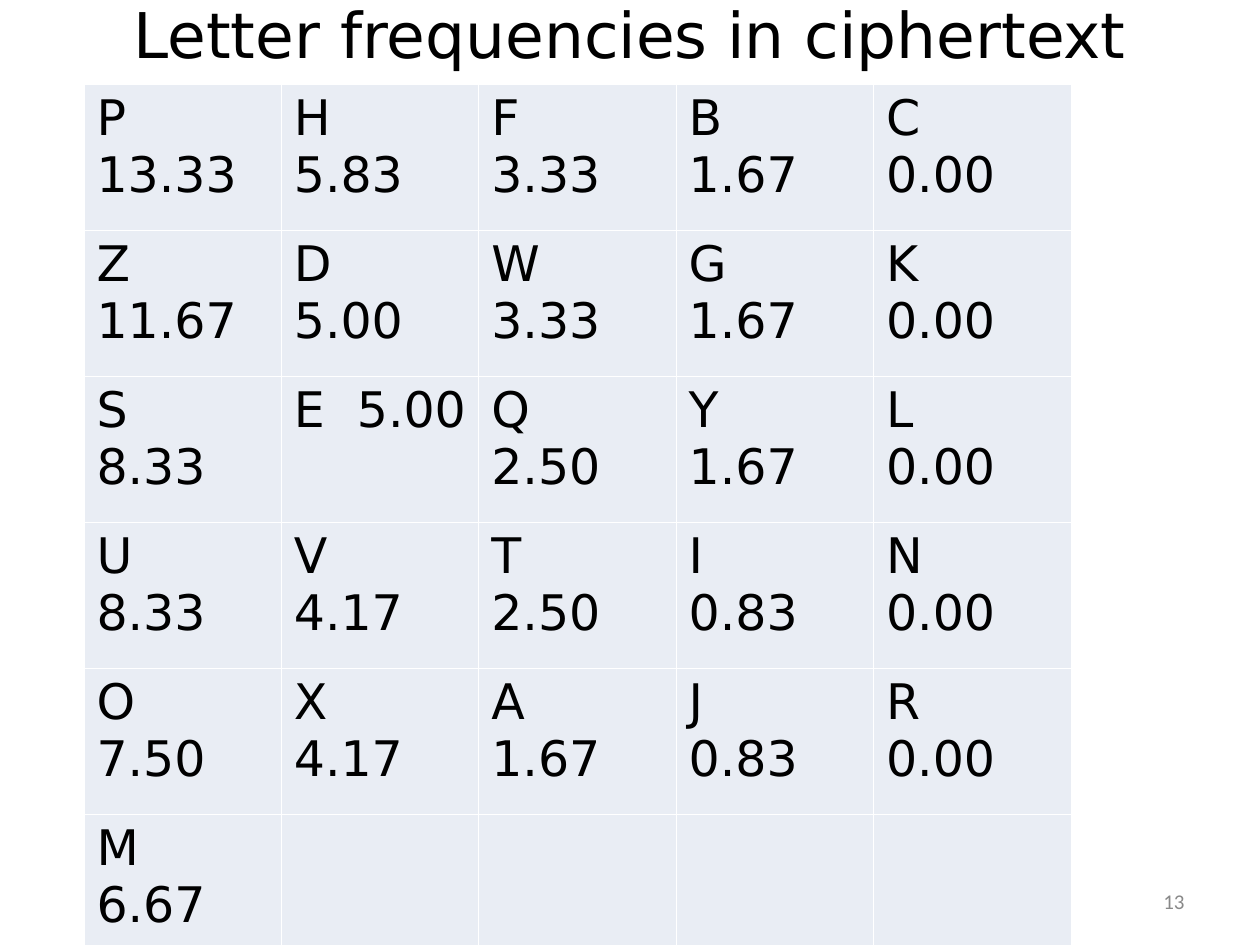
from pptx import Presentation
from pptx.dml.color import RGBColor
from pptx.enum.text import MSO_ANCHOR as Anchor, MSO_AUTO_SIZE as AutoSize, PP_ALIGN as Align
from pptx.oxml import parse_xml
from pptx.oxml.ns import nsdecls
from pptx.util import Pt

PX = 914400 // 126
COLORS = {"text": "000000", "cell": "E9EDF4", "border": "FFFFFF", "number": "898989"}
BODY_FONT = "DejaVu Sans"
FREQUENCIES = [
    "P 13.33, H 5.83, F 3.33, B 1.67, C 0.00",
    "Z 11.67, D 5.00, W 3.33, G 1.67, K 0.00",
    "S 8.33, E 5.00, Q 2.50, Y 1.67, L 0.00",
    "U 8.33, V 4.17, T 2.50, I 0.83, N 0.00",
    "O 7.50, X 4.17, A 1.67, J 0.83, R 0.00",
    "M 6.67",
]
SINGLE_LINE = {"E"}
COLUMNS, ROW_HEIGHT, VALUE_TAB = 5, 146, 63


def px(*lengths):
    """Turn pixel lengths into EMU."""
    return [length * PX for length in lengths]


def style_runs(para, size, color, font=BODY_FONT):
    """Format every run of a paragraph."""
    for span in para.runs:
        span.font.size = Pt(size)
        span.font.name = font
        span.font.color.rgb = RGBColor.from_string(COLORS[color])


def add_title(page, text):
    """Move and format the title placeholder."""
    title = page.shapes.title
    title.left, title.top, title.width, title.height = px(63, 0, 1134, 67)
    frame = title.text_frame
    frame.text = text
    frame.auto_size = AutoSize.NONE
    frame.vertical_anchor = Anchor.MIDDLE
    frame.margin_left = frame.margin_top = frame.margin_right = frame.margin_bottom = 0
    para = frame.paragraphs[0]
    para.alignment = Align.CENTER
    style_runs(para, 36, "text")


def style_cell(cell):
    """Give a cell thin borders and a plain fill."""
    properties = cell._tc.get_or_add_tcPr()
    for side in "LRTB":
        properties.append(parse_xml(
            f'<a:ln{side} {nsdecls("a")} w="{Pt(0.45)}"><a:solidFill>'
            f'<a:srgbClr val="{COLORS["border"]}"/></a:solidFill></a:ln{side}>'))
    cell.fill.solid()
    cell.fill.fore_color.rgb = RGBColor.from_string(COLORS["cell"])


def write_frequency(cell, letter, value):
    """Write a letter with its value below it, or beside it at a tab stop."""
    beside = letter in SINGLE_LINE
    cell.text = f"{letter}\t{value}" if beside else f"{letter}\v{value}"
    para = cell.text_frame.paragraphs[0]
    if beside:
        para._p.get_or_add_pPr().append(parse_xml(
            f'<a:tabLst {nsdecls("a")}><a:tab pos="{VALUE_TAB * PX}" algn="l"/></a:tabLst>'))
    style_runs(para, 28, "text")


def add_frequency_table(page):
    """Add the grid of letters and their frequencies."""
    rows = len(FREQUENCIES)
    table = page.shapes.add_table(
        rows, COLUMNS, *px(84, 84, 987, rows * ROW_HEIGHT)).table
    table.first_row = table.horz_banding = False
    for cell in table.iter_cells():
        style_cell(cell)
    for row, line in enumerate(FREQUENCIES):
        for column, entry in enumerate(line.split(", ")):
            write_frequency(table.cell(row, column), *entry.split())


def add_page_number(page, number):
    """Add the page number at the lower right."""
    box = page.shapes.add_textbox(*px(903, 876, 294, 50))
    frame = box.text_frame
    frame.text = number
    frame.word_wrap = True
    frame.vertical_anchor = Anchor.MIDDLE
    para = frame.paragraphs[0]
    para.alignment = Align.RIGHT
    style_runs(para, 12, "number", "Calibri")


def main():
    """Build the slide and save it."""
    deck = Presentation()
    deck.slide_width, deck.slide_height = px(1260, 945)
    page = deck.slides.add_slide(deck.slide_layouts[5])
    add_title(page, "Letter frequencies in ciphertext")
    add_frequency_table(page)
    add_page_number(page, "13")
    deck.save("out.pptx")


if __name__ == "__main__":
    main()
